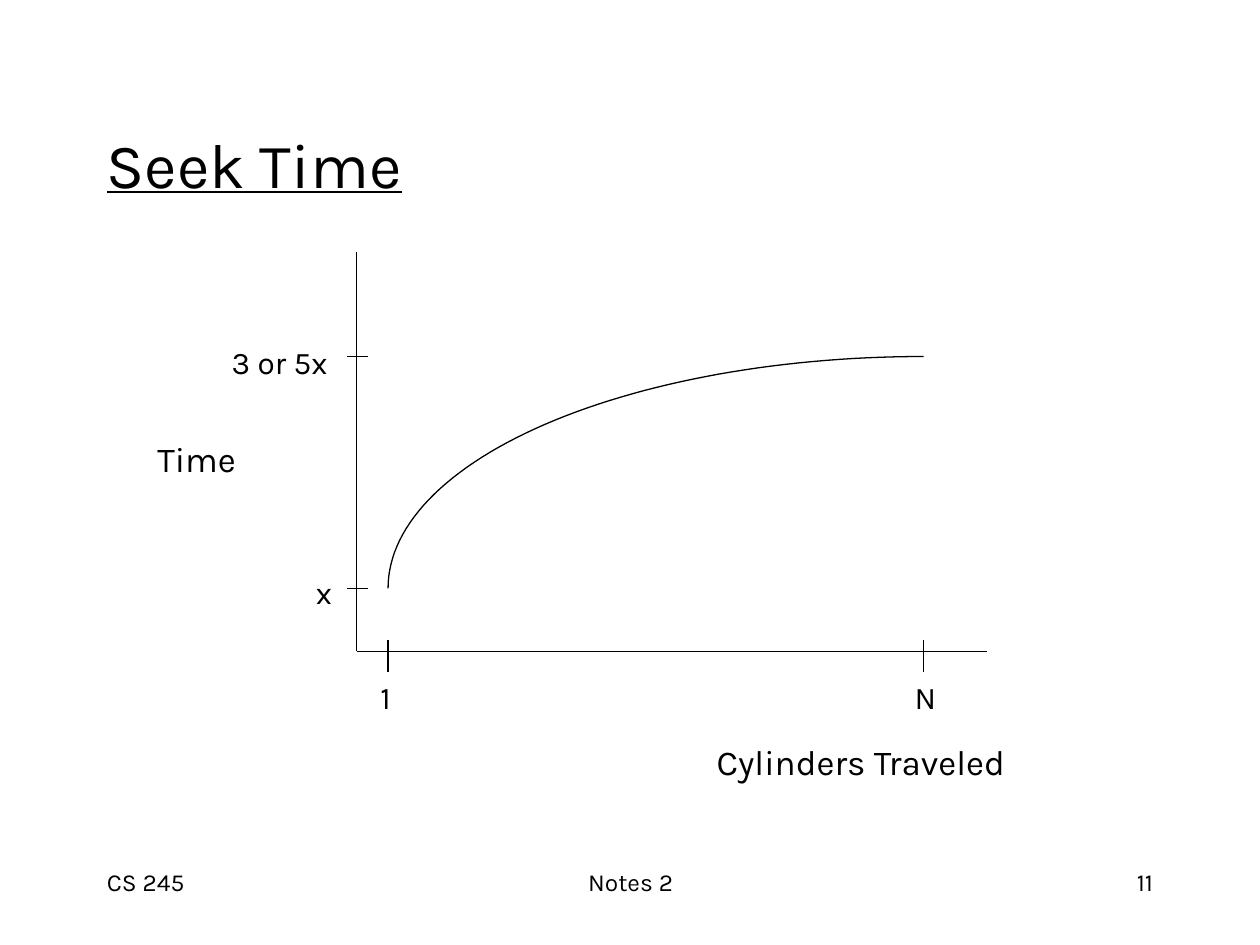
from dataclasses import dataclass
from math import cos, pi, sin

from lxml.etree import SubElement
from pptx import Presentation
from pptx.dml.color import RGBColor
from pptx.enum.shapes import MSO_CONNECTOR as Connector
from pptx.enum.text import MSO_ANCHOR as Anchor, MSO_AUTO_SIZE as AutoSize, PP_ALIGN as Align
from pptx.oxml.ns import qn
from pptx.slide import Slide
from pptx.util import Inches, Pt

COLORS = {"ink": "000000", "background": "FFFFFF"}
FONT = "Karla"
LINE_WIDTH = Pt(0.75)

AXIS_X, AXIS_Y = 2.83, 5.17
AXIS_TOP, AXIS_RIGHT = 2, 7.83
FIRST_X, LAST_X = 3.08, 7.33
LOW_Y, HIGH_Y = 4.67, 2.83
CURVE_STEPS = 60


@dataclass
class Label:
    text: str
    left: float
    top: float
    width: float
    height: float
    size: int
    align: Align = Align.LEFT
    anchor: Anchor = Anchor.TOP
    wrap: bool = False
    underline: bool = False


@dataclass
class Segment:
    x1: float
    y1: float
    x2: float
    y2: float


LABELS = [
    Label("Seek Time", 0.75, 0.67, 8.5, 1.25, 36, anchor=Anchor.MIDDLE, wrap=True, underline=True),
    Label("3 or 5x", 1.74, 2.67, 1, 0.4, 18),
    Label("x", 2.41, 4.5, 0.33, 0.4, 18),
    Label("1", 2.92, 5.33, 0.34, 0.4, 18),
    Label("N", 7.16, 5.33, 0.39, 0.4, 18),
    Label("Cylinders Traveled", 5.59, 5.83, 2.6, 0.44, 20),
    Label("Time", 1.15, 3.42, 0.84, 0.44, 20),
    Label("CS 245", 0.75, 6.83, 2.08, 0.5, 14, wrap=True),
    Label("Notes 2", 3.42, 6.83, 3.17, 0.5, 14, Align.CENTER, wrap=True),
    Label("11", 7.17, 6.83, 2.08, 0.5, 14, Align.RIGHT, wrap=True),
]

AXES = [
    Segment(AXIS_X, AXIS_TOP, AXIS_X, AXIS_Y),
    Segment(AXIS_X, AXIS_Y, AXIS_RIGHT, AXIS_Y),
]
TICKS = [Segment(x, 5.08, x, 5.33) for x in (FIRST_X, LAST_X)] + [
    Segment(2.92, y, 2.75, y) for y in (LOW_Y, HIGH_Y)
]


def color(name: str) -> RGBColor:
    return RGBColor.from_string(COLORS[name])


def add_label(slide: Slide, label: Label) -> None:
    shape = slide.shapes.add_textbox(
        Inches(label.left), Inches(label.top), Inches(label.width), Inches(label.height)
    )
    frame = shape.text_frame
    frame.word_wrap = label.wrap
    frame.auto_size = AutoSize.NONE if label.wrap else AutoSize.SHAPE_TO_FIT_TEXT
    frame.vertical_anchor = label.anchor
    paragraph = frame.paragraphs[0]
    paragraph.text = label.text
    paragraph.alignment = label.align
    font = paragraph.font
    font.name = FONT
    font.size = Pt(label.size)
    font.underline = label.underline
    font.color.rgb = color("ink")


def add_segment(slide: Slide, segment: Segment) -> None:
    connector = slide.shapes.add_connector(
        Connector.STRAIGHT,
        Inches(segment.x1), Inches(segment.y1), Inches(segment.x2), Inches(segment.y2),
    )
    connector.line.color.rgb = color("ink")
    connector.line.width = LINE_WIDTH
    SubElement(connector._element.spPr, qn("a:effectLst"))


def add_seek_curve(slide: Slide) -> None:
    angles = [pi / 2 * step / CURVE_STEPS for step in range(CURVE_STEPS + 1)]
    points = [
        (
            Inches(LAST_X - (LAST_X - FIRST_X) * cos(angle)),
            Inches(LOW_Y - (LOW_Y - HIGH_Y) * sin(angle)),
        )
        for angle in angles
    ]
    builder = slide.shapes.build_freeform(*points[0])
    builder.add_line_segments(points[1:], close=False)
    shape = builder.convert_to_shape()
    shape.shadow.inherit = False
    shape.fill.background()
    shape.line.color.rgb = color("ink")
    shape.line.width = LINE_WIDTH


def main() -> None:
    presentation = Presentation()
    presentation.slide_width = Inches(10)
    presentation.slide_height = Inches(7.5)
    slide = presentation.slides.add_slide(presentation.slide_layouts[6])
    slide.background.fill.solid()
    slide.background.fill.fore_color.rgb = color("background")
    for segment in AXES + TICKS:
        add_segment(slide, segment)
    add_seek_curve(slide)
    for label in LABELS:
        add_label(slide, label)
    presentation.save("out.pptx")


if __name__ == "__main__":
    main()
